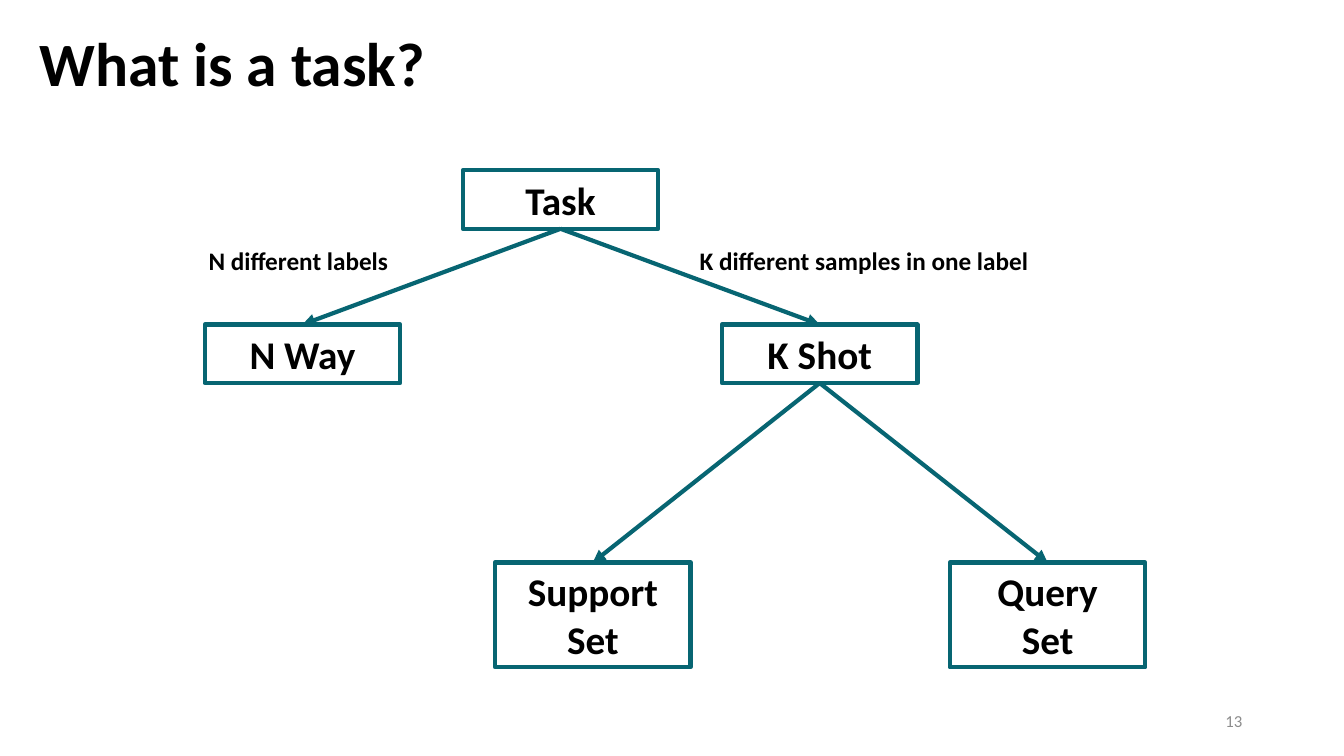
from lxml import etree
from pptx import Presentation
from pptx import util as u
from pptx.dml.color import RGBColor
from pptx.enum import shapes, text
from pptx.oxml.ns import qn

COLORS = {"teal": "076572", "black": "000000", "gray": "8C8C8C"}
FONT = "Calibri"
TITLE = "What is a task?"

# name: (text, centre x, top), in inches
NODES = {
    "task": ("Task", 5.56, 1.69),
    "way": ("N Way", 3.0, 3.22),
    "shot": ("K Shot", 8.13, 3.22),
    "support": ("Support\nSet", 5.88, 5.58),
    "query": ("Query\nSet", 10.39, 5.58),
}
ARROWS = [("task", "way"), ("task", "shot"), ("shot", "support"), ("shot", "query")]
# text, left, top, width, size, colour, bold, alignment, anchor
LABELS = [
    ("N different labels", 1.97, 2.38, 2.58, 18, "black", True,
     text.PP_ALIGN.LEFT, text.MSO_ANCHOR.TOP),
    ("K different samples in one label", 6.84, 2.38, 3.59, 18, "black", True,
     text.PP_ALIGN.LEFT, text.MSO_ANCHOR.TOP),
    ("13", 9.42, 6.95, 3, 12, "gray", False,
     text.PP_ALIGN.RIGHT, text.MSO_ANCHOR.MIDDLE),
]
NODE_WIDTH, LABEL_HEIGHT = 1.94, 0.4
FIRST_LINE, NEXT_LINE = 0.58, 0.46  # node height for one line, and for each further one


def color(name):
    return RGBColor.from_string(COLORS[name])


def write(shape, words, size, tint="black", bold=True,
          align=text.PP_ALIGN.LEFT, anchor=text.MSO_ANCHOR.MIDDLE):
    frame = shape.text_frame
    frame.text = words
    frame.word_wrap = True
    frame.auto_size = text.MSO_AUTO_SIZE.NONE
    frame.vertical_anchor = anchor
    for paragraph in frame.paragraphs:
        paragraph.alignment = align
        for run in paragraph.runs:
            run.font.name = FONT
            run.font.size = u.Pt(size)
            run.font.bold = bold
            run.font.color.rgb = color(tint)


def outline(shape):
    shape.line.color.rgb = color("teal")
    shape.line.width = u.Pt(3)


def add_node(slide, words, center, top):
    height = FIRST_LINE + NEXT_LINE * words.count("\n")
    node = slide.shapes.add_shape(
        shapes.MSO_SHAPE.RECTANGLE, u.Inches(center - NODE_WIDTH / 2), u.Inches(top),
        u.Inches(NODE_WIDTH), u.Inches(height))
    node.shadow.inherit = False
    node.fill.background()
    outline(node)
    write(node, words, 28, align=text.PP_ALIGN.CENTER)
    return node


def add_arrow(slide, parent, child):
    """Join the bottom of the parent to the top of the child."""
    arrow = slide.shapes.add_connector(shapes.MSO_CONNECTOR.STRAIGHT, 0, 0, 0, 0)
    arrow.begin_connect(parent, 2)
    arrow.end_connect(child, 0)
    outline(arrow)
    etree.SubElement(arrow.line._get_or_add_ln(), qn("a:tailEnd"), type="triangle")
    etree.SubElement(arrow._element.spPr, qn("a:effectLst"))


def main():
    presentation = Presentation()
    presentation.slide_width = u.Inches(13.33)
    presentation.slide_height = u.Inches(7.5)
    slide = presentation.slides.add_slide(presentation.slide_layouts[5])

    title = slide.shapes.title
    title.left, title.top = u.Inches(0.29), u.Inches(0.19)
    title.width, title.height = u.Inches(12.18), u.Inches(0.84)
    write(title, TITLE, 44)

    nodes = {name: add_node(slide, *node) for name, node in NODES.items()}
    for parent, child in ARROWS:
        add_arrow(slide, nodes[parent], nodes[child])

    for words, left, top, width, *style in LABELS:
        label = slide.shapes.add_textbox(
            u.Inches(left), u.Inches(top), u.Inches(width), u.Inches(LABEL_HEIGHT))
        write(label, words, *style)

    presentation.save("out.pptx")


if __name__ == "__main__":
    main()
